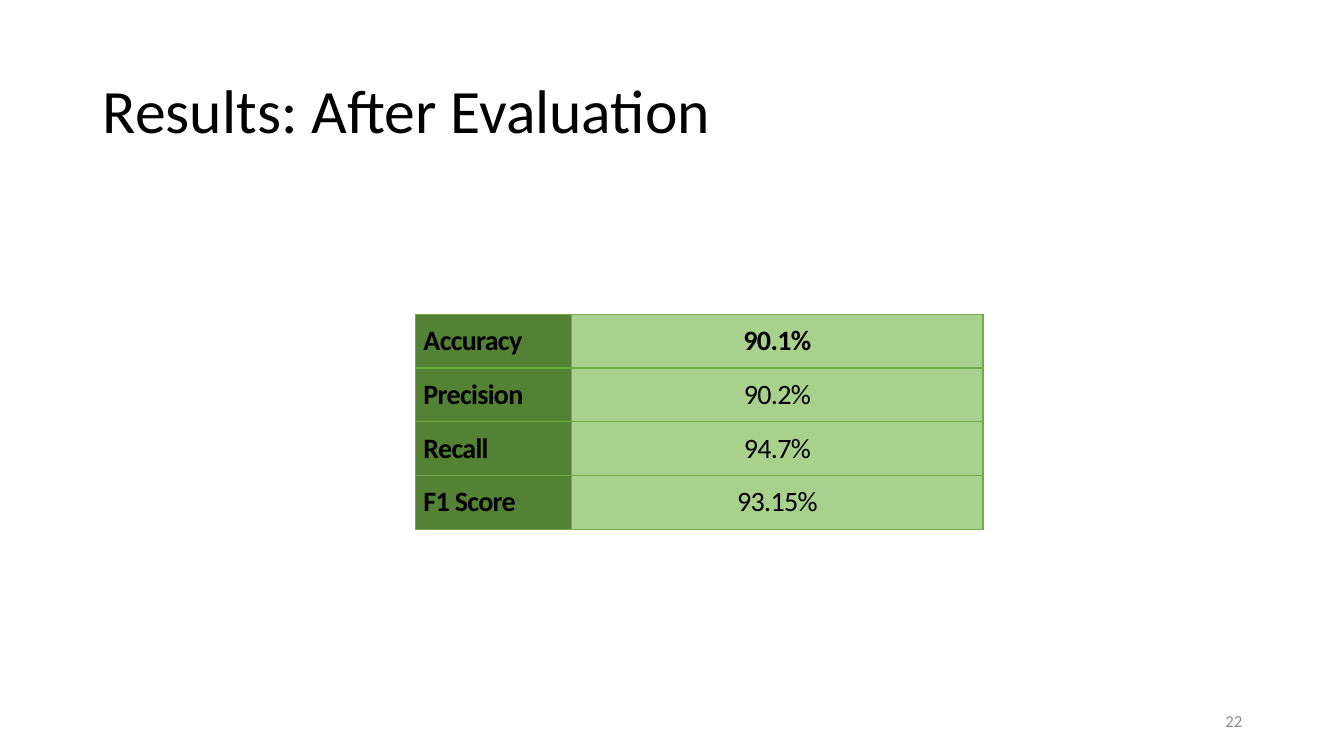
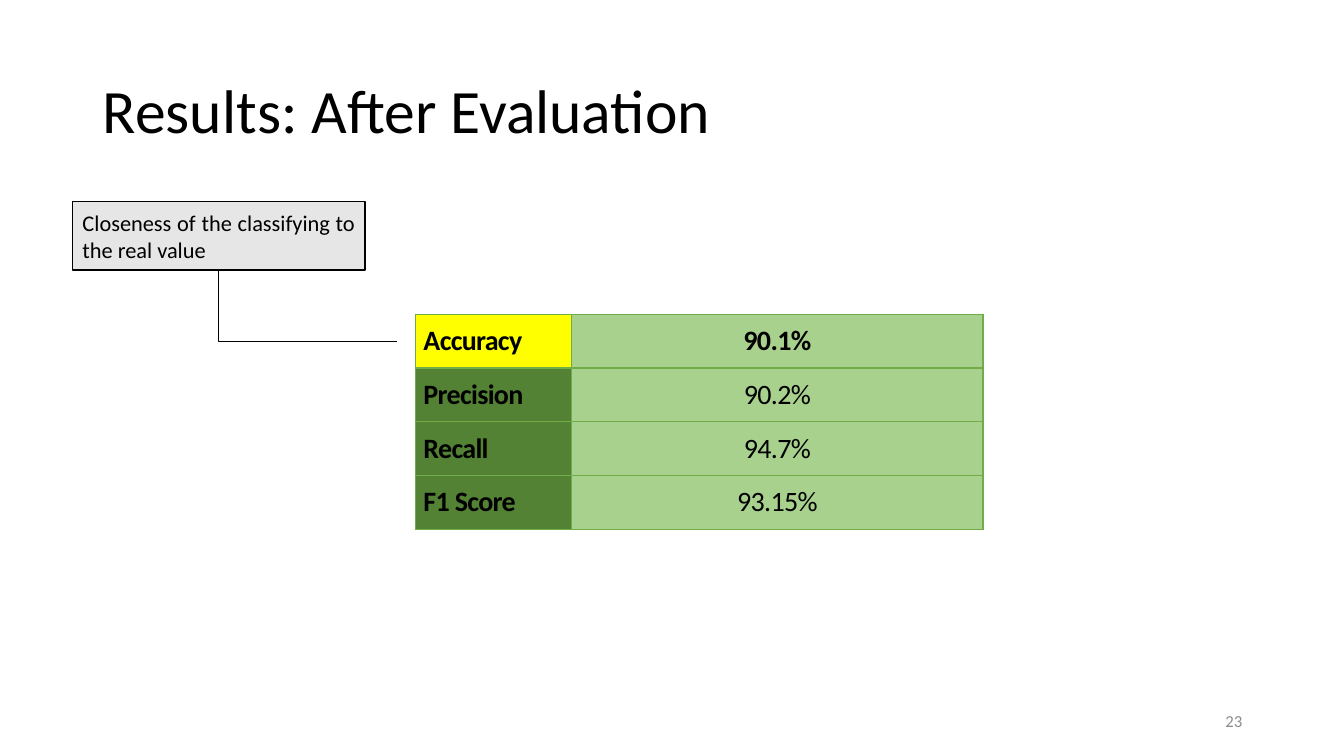
from dataclasses import dataclass
from typing import NamedTuple, Optional

from lxml import etree
from pptx import Presentation
from pptx import util as u
from pptx.dml.color import RGBColor as Rgb
from pptx.enum import shapes, text
from pptx.oxml import ns

IN = u.Inches
LEFT, MID, RIGHT, JUST = (
    text.PP_ALIGN.LEFT, text.PP_ALIGN.CENTER,
    text.PP_ALIGN.RIGHT, text.PP_ALIGN.JUSTIFY,
)


@dataclass(frozen=True)
class Theme:
    font: str = "Calibri"
    ink: str = "000000"
    grey: str = "8C8C8C"
    note: str = "E7E6E6"
    dark: str = "548235"
    light: str = "A9D18E"
    edge: str = "70AD47"
    mark: str = "FFFF00"
    title: int = 44
    cell: int = 20
    body: int = 16
    foot: int = 12


class Box(NamedTuple):
    x: float
    y: float
    w: float
    h: float

    def emu(self) -> list:
        return [IN(v) for v in self]


class Score(NamedTuple):
    name: str
    value: str


class Page(NamedTuple):
    number: int
    note: Optional[str] = None
    row: Optional[int] = None


T = Theme()
HEAD = "Results: After Evaluation"
TITLE = Box(0.92, 0.4, 11.5, 1.45)
GRID = Box(4.12, 3.12, 5.63, 2.13)
FOOT = Box(9.42, 6.95, 3, 0.4)
NOTE = Box(0.72, 2, 2.9, 0.68)
COLS = (1.55, 4.08)
GAP = 0.18
SCORES = (
    Score("Accuracy", "90.1%"),
    Score("Precision", "90.2%"),
    Score("Recall", "94.7%"),
    Score("F1 Score", "93.15%"),
)
PAGES = (
    Page(22),
    Page(23, "Closeness of the classifying to the real value", 0),
)


def write(frame, words: str, size: int, color: str = T.ink,
          align=LEFT, bold: bool = False):
    """Fill a text frame with one run, centred vertically, and return the run."""
    frame.word_wrap = True
    frame.vertical_anchor = text.MSO_ANCHOR.MIDDLE
    para = frame.paragraphs[0]
    para.alignment = align
    run = para.add_run()
    run.text = words
    font = run.font
    font.name, font.size, font.bold = T.font, u.Pt(size), bold
    font.color.rgb = Rgb.from_string(color)
    return run


def paint(fill, color: str) -> None:
    fill.solid()
    fill.fore_color.rgb = Rgb.from_string(color)


def add_title(slide) -> None:
    title = slide.shapes.title
    title.left, title.top, title.width, title.height = TITLE.emu()
    frame = title.text_frame
    frame.auto_size = text.MSO_AUTO_SIZE.NONE
    write(frame, HEAD, T.title)
    frame.paragraphs[0].line_spacing = 0.9


def add_edges(cell, low: float) -> None:
    """Draw the cell borders; low is the width of the bottom one in points."""
    props = cell._tc.get_or_add_tcPr()
    for side, width in (("L", 1), ("R", 1), ("T", 1), ("B", low)):
        line = etree.SubElement(props, ns.qn(f"a:ln{side}"), w=str(u.Pt(width)))
        fill = etree.SubElement(line, ns.qn("a:solidFill"))
        etree.SubElement(fill, ns.qn("a:srgbClr"), val=T.edge)


def add_scores(slide, mark: Optional[int]) -> None:
    """Add the score table, with the name in row mark highlighted."""
    table = slide.shapes.add_table(len(SCORES), len(COLS), *GRID.emu()).table
    table.first_row = table.horz_banding = False
    for col, width in zip(table.columns, COLS):
        col.width = IN(width)
    for r, score in enumerate(SCORES):
        table.rows[r].height = IN(GRID.h / len(SCORES))
        name = T.mark if r == mark else T.dark
        looks = ((name, LEFT, True), (T.light, MID, r == 0))
        for c, (color, align, bold) in enumerate(looks):
            cell = table.cell(r, c)
            cell.margin_left = cell.margin_right = IN(0.08)
            cell.margin_top = cell.margin_bottom = 0
            cell.vertical_anchor = text.MSO_ANCHOR.MIDDLE
            add_edges(cell, 2 if r == 0 else 1)
            paint(cell.fill, color)
            run = write(cell.text_frame, score[c], T.cell,
                        align=align, bold=bold)
            run.font._element.set("spc", "-50")


def add_elbow(slide, x: float, y: float, w: float, h: float) -> None:
    """Draw a line that runs down by h from (x, y), then right by w."""
    left, top = x + (w - h) / 2, y + (h - w) / 2
    line = slide.shapes.add_connector(
        shapes.MSO_CONNECTOR.ELBOW,
        IN(left), IN(top), IN(left + h), IN(top + w))
    line.line.width = u.Pt(0.5)
    line.line.color.rgb = Rgb.from_string(T.ink)
    props = line._element.spPr
    props.find(ns.qn("a:prstGeom")).set("prst", "bentConnector2")
    frame = props.find(ns.qn("a:xfrm"))
    frame.set("rot", str(270 * 60000))
    frame.set("flipH", "1")
    etree.SubElement(props, ns.qn("a:effectLst"))


def add_note(slide, words: str, row: int) -> None:
    box = slide.shapes.add_shape(shapes.MSO_SHAPE.RECTANGLE, *NOTE.emu())
    box.shadow.inherit = False
    paint(box.fill, T.note)
    box.line.color.rgb = Rgb.from_string(T.ink)
    box.line.width = u.Pt(1)
    write(box.text_frame, words, T.body, align=JUST)
    x, y = NOTE.x + NOTE.w / 2, NOTE.y + NOTE.h
    goal = GRID.y + GRID.h / len(SCORES) * (row + 0.5)
    add_elbow(slide, x, y, GRID.x - GAP - x, goal - y)


def add_page(deck, page: Page) -> None:
    slide = deck.slides.add_slide(deck.slide_layouts.get_by_name("Title Only"))
    add_title(slide)
    add_scores(slide, page.row)
    if page.note is not None:
        add_note(slide, page.note, page.row)
    foot = slide.shapes.add_textbox(*FOOT.emu())
    write(foot.text_frame, str(page.number), T.foot, T.grey, RIGHT)


def main() -> None:
    deck = Presentation()
    deck.slide_width, deck.slide_height = IN(13.33), IN(7.5)
    for page in PAGES:
        add_page(deck, page)
    deck.save("out.pptx")


if __name__ == "__main__":
    main()
